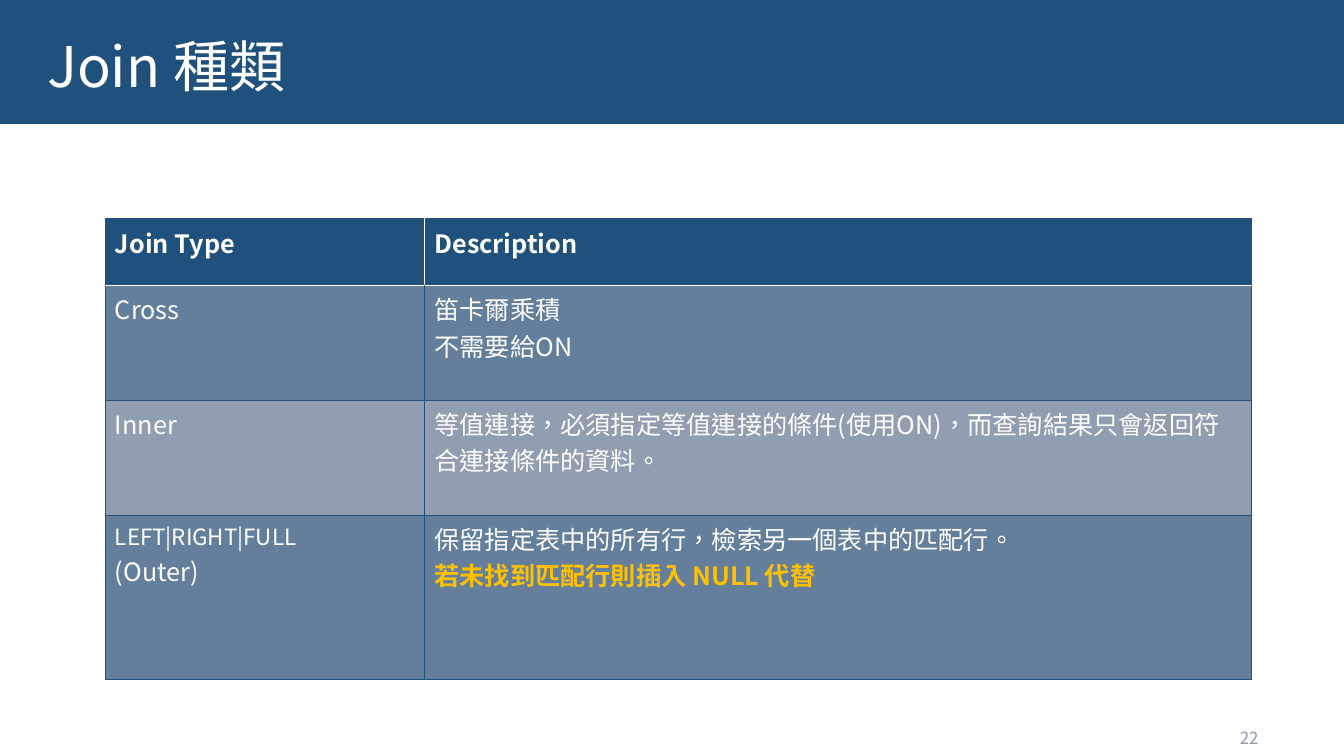
from lxml.etree import SubElement
from pptx import Presentation
from pptx.dml.color import RGBColor
from pptx.enum.shapes import MSO_SHAPE
from pptx.enum.text import MSO_ANCHOR, PP_ALIGN
from pptx.oxml.ns import qn
from pptx.util import Inches, Pt

FONT = "Noto Sans CJK SC"
COLORS = {
    "navy": "20517C",
    "steel": "647F9C",
    "mist": "919DB1",
    "white": "FFFFFF",
    "gold": "FFC000",
    "gray": "8D98AA",
}
COLUMN_WIDTHS = [3.17, 8.2]
ROW_HEIGHTS = [0.66, 1.14, 1.14, 1.63]
ROW_FILLS = ["navy", "steel", "mist", "steel"]
JOIN_ROWS = [
    [[("Join Type", {"bold": True})], [("Description", {"bold": True})]],
    [[("Cross", {})], [("笛卡爾乘積", {}), ("不需要給ON", {})]],
    [
        [("Inner", {})],
        [("等值連接，必須指定等值連接的條件(使用ON)，而查詢結果只會返回符合連接條件的資料。", {})],
    ],
    [
        [("LEFT|RIGHT|FULL", {"size": 16}), ("(Outer)", {})],
        [
            ("保留指定表中的所有行，檢索另一個表中的匹配行。", {}),
            ("若未找到匹配行則插入 NULL 代替", {"color": "gold", "bold": True}),
        ],
    ],
]


def rgb(name):
    """Return the named colour."""
    return RGBColor.from_string(COLORS[name])


def write_text(paragraph, text, size=18, color="white", bold=False, align=PP_ALIGN.LEFT):
    """Write one formatted run into a paragraph."""
    paragraph.alignment = align
    run = paragraph.add_run()
    run.text = text
    run.font.size = Pt(size)
    run.font.bold = bold
    run.font.color.rgb = rgb(color)
    run.font.name = FONT
    properties = run.font._element
    properties.set("lang", "zh-TW")
    SubElement(properties, qn("a:ea"), typeface=FONT)


def add_text(slide, left, top, width, height, text, anchor=MSO_ANCHOR.TOP, **text_format):
    """Add a wrapped text box with one paragraph and return that paragraph."""
    box = slide.shapes.add_textbox(Inches(left), Inches(top), Inches(width), Inches(height))
    box.text_frame.word_wrap = True
    box.text_frame.vertical_anchor = anchor
    paragraph = box.text_frame.paragraphs[0]
    write_text(paragraph, text, **text_format)
    return paragraph


def add_band(slide):
    """Add the band behind the title."""
    band = slide.shapes.add_shape(
        MSO_SHAPE.RECTANGLE, Inches(-0.03), Inches(0), Inches(13.36), Inches(1.23)
    )
    band.shadow.inherit = False
    band.fill.solid()
    band.fill.fore_color.rgb = rgb("navy")
    band.line.fill.background()


def set_border(cell, side, color, width):
    """Draw one border of a cell."""
    properties = cell._tc.get_or_add_tcPr()
    line = SubElement(properties, qn(f"a:ln{side}"), w=str(Pt(width)))
    fill = SubElement(line, qn("a:solidFill"))
    SubElement(fill, qn("a:srgbClr"), val=COLORS[color])


def fill_cell(cell, paragraphs, row, column):
    """Set the borders, fill and text of a table cell."""
    header = row == 0
    outer_left, outer_right = column == 0, column == len(COLUMN_WIDTHS) - 1
    if not header or outer_left:
        set_border(cell, "L", "navy", 0.5)
    if not header or outer_right:
        set_border(cell, "R", "navy", 0.5)
    set_border(cell, "T", *(("white", 1) if row == 1 else ("navy", 0.5)))
    set_border(cell, "B", *(("white", 1) if header else ("navy", 0.5)))
    cell.fill.solid()
    cell.fill.fore_color.rgb = rgb(ROW_FILLS[row])
    frame = cell.text_frame
    for index, (text, text_format) in enumerate(paragraphs):
        paragraph = frame.add_paragraph() if index else frame.paragraphs[0]
        write_text(paragraph, text, **text_format)


def add_join_table(slide):
    """Add the table of join types."""
    table = slide.shapes.add_table(
        len(ROW_HEIGHTS), len(COLUMN_WIDTHS), Inches(1.04), Inches(2.17),
        Inches(sum(COLUMN_WIDTHS)), Inches(sum(ROW_HEIGHTS)),
    ).table
    for column, width in zip(table.columns, COLUMN_WIDTHS):
        column.width = Inches(width)
    for row, height in zip(table.rows, ROW_HEIGHTS):
        row.height = Inches(height)
    for row, cells in enumerate(JOIN_ROWS):
        for column, paragraphs in enumerate(cells):
            fill_cell(table.cell(row, column), paragraphs, row, column)


def main():
    """Build the slide and save it."""
    presentation = Presentation()
    presentation.slide_width = Inches(13.33)
    presentation.slide_height = Inches(7.5)
    slide = presentation.slides.add_slide(presentation.slide_layouts[6])
    add_text(slide, 9.58, 7.12, 3, 0.4, "22", anchor=MSO_ANCHOR.MIDDLE,
             size=12, color="gray", align=PP_ALIGN.RIGHT)
    add_band(slide)
    title = add_text(slide, 0.37, 0.34, 12.6, 0.54, "Join 種類", size=40)
    title.line_spacing = 0.9
    add_join_table(slide)
    presentation.save("out.pptx")


if __name__ == "__main__":
    main()
